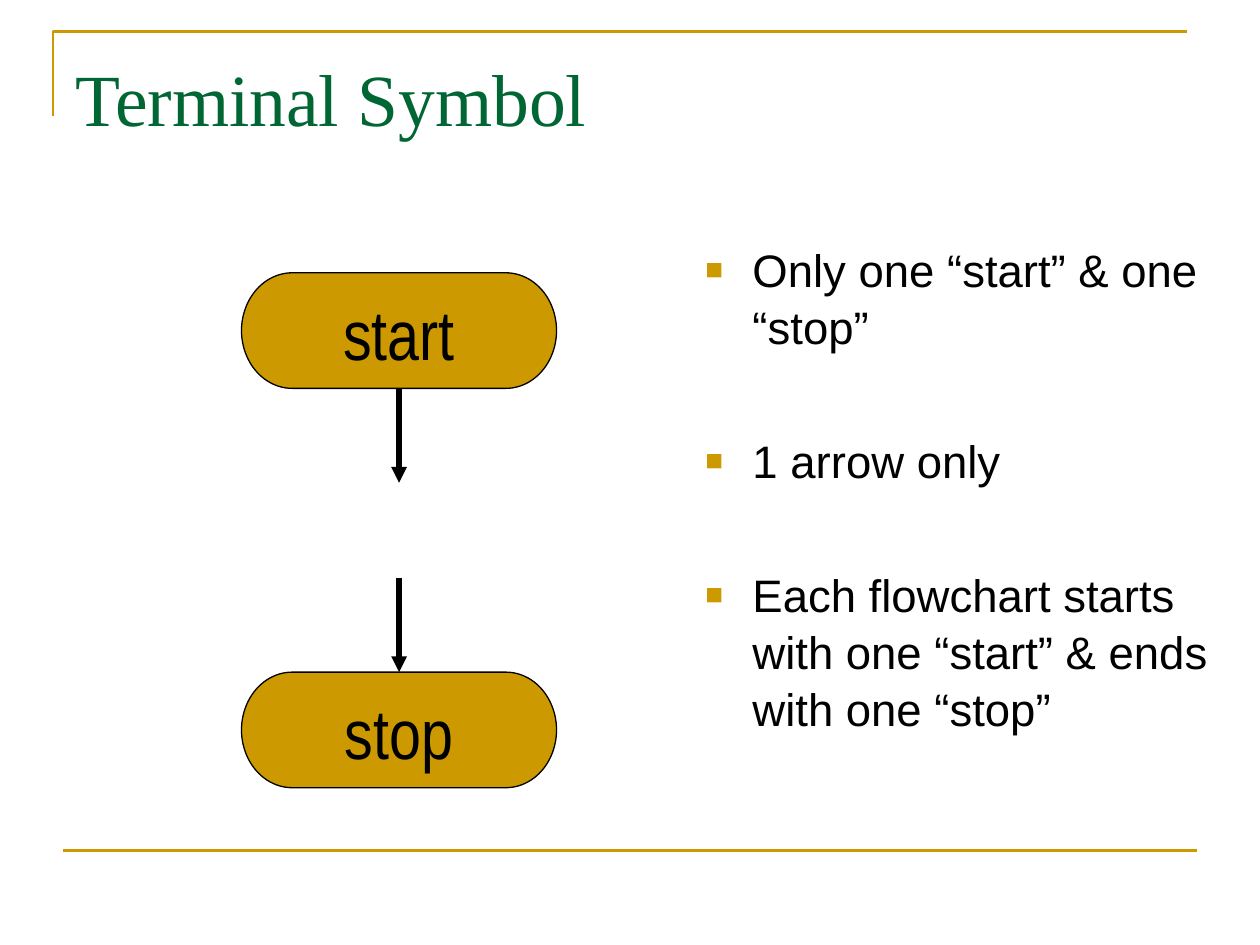
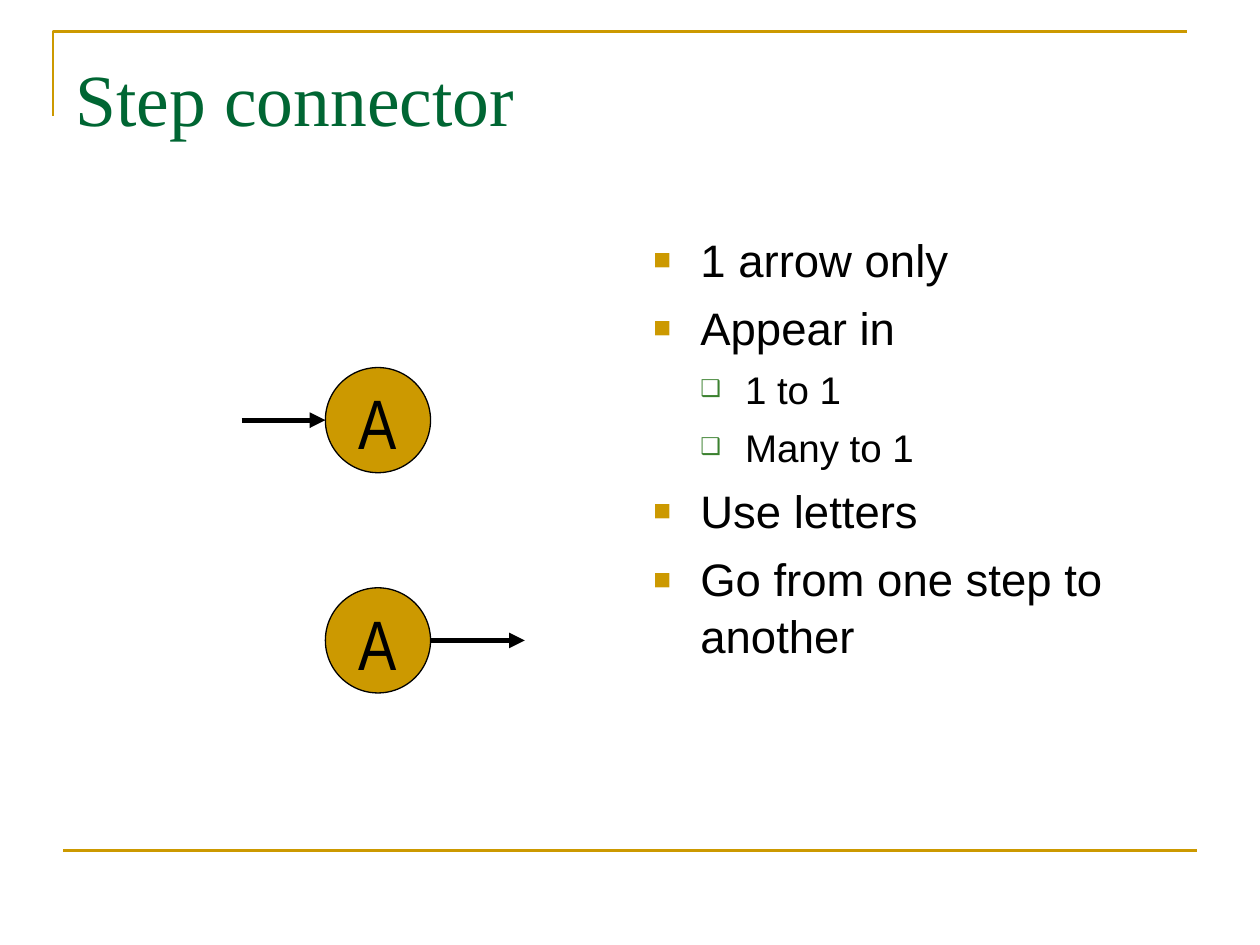
from dataclasses import dataclass

from lxml.etree import SubElement
from pptx import Presentation
from pptx.dml.color import RGBColor
from pptx.enum.shapes import MSO_CONNECTOR, MSO_SHAPE
from pptx.enum.text import MSO_ANCHOR, PP_ALIGN
from pptx.oxml.ns import qn
from pptx.util import Cm, Pt

# Shared look
GOLD, GREEN, LEAF, BLACK = "CC9900", "006633", "3B812F", "000000"
TITLE_FONT, BODY_FONT, SYMBOL_FONT = "Times New Roman", "Arial", "Arial Narrow"
LINE_SPACING = 1.04
TOP, BOTTOM = 0, 2


@dataclass(frozen=True)
class Box:
    left: float
    top: float
    width: float
    height: float

    def lengths(self) -> tuple:
        return Cm(self.left), Cm(self.top), Cm(self.width), Cm(self.height)


@dataclass(frozen=True)
class Symbol:
    label: str
    kind: MSO_SHAPE
    box: Box


@dataclass(frozen=True)
class BulletStyle:
    mark: str
    color: str
    scale: int  # percent of the text size
    margin: float
    hanging: float
    size: float
    gap: float


@dataclass(frozen=True)
class Point:
    text: str
    level: int = 0


BULLETS = (
    BulletStyle("■", GOLD, 65, 0.95, 0.95, 26, 6.5),
    BulletStyle("❑", LEAF, 60, 1.85, 0.9, 22, 5.5),
)


def rgb(color: str) -> RGBColor:
    return RGBColor.from_string(color)


def set_line(line, color: str, width: float) -> None:
    line.color.rgb = rgb(color)
    line.width = Pt(width)


def style_paragraph(paragraph, font: str, size: float, color: str) -> None:
    paragraph.line_spacing = LINE_SPACING
    for run in paragraph.runs:
        run.font.name = font
        run.font.size = Pt(size)
        run.font.color.rgb = rgb(color)


def add_line(slide, start: tuple, end: tuple, color: str, width: float, arrow: bool = False):
    ends = [Cm(value) for value in (*start, *end)]
    connector = slide.shapes.add_connector(MSO_CONNECTOR.STRAIGHT, *ends)
    set_line(connector.line, color, width)
    if arrow:
        SubElement(connector.line._get_or_add_ln(), qn("a:tailEnd"), type="triangle")
    SubElement(connector._element.spPr, qn("a:effectLst"))
    return connector


def add_arrow(slide, start: tuple, end: tuple):
    return add_line(slide, start, end, BLACK, 3, arrow=True)


def add_text_frame(slide, box: Box, top_margin: float):
    frame = slide.shapes.add_textbox(*box.lengths()).text_frame
    frame.word_wrap = True
    frame.margin_top = Cm(top_margin)
    return frame


def add_symbol(slide, symbol: Symbol):
    shape = slide.shapes.add_shape(symbol.kind, *symbol.box.lengths())
    shape.shadow.inherit = False
    shape.fill.solid()
    shape.fill.fore_color.rgb = rgb(GOLD)
    set_line(shape.line, BLACK, 0.75)
    frame = shape.text_frame
    frame.word_wrap = False
    frame.vertical_anchor = MSO_ANCHOR.MIDDLE
    frame.text = symbol.label
    label = frame.paragraphs[0]
    label.alignment = PP_ALIGN.CENTER
    style_paragraph(label, SYMBOL_FONT, 40, BLACK)
    return shape


def set_bullet(paragraph, style: BulletStyle) -> None:
    props = paragraph._p.get_or_add_pPr()
    props.set("marL", str(Cm(style.margin)))
    props.set("indent", str(-Cm(style.hanging)))
    SubElement(SubElement(props, qn("a:buClr")), qn("a:srgbClr"), val=style.color)
    SubElement(props, qn("a:buSzPct"), val=str(style.scale * 1000))
    SubElement(props, qn("a:buFont"), typeface=BODY_FONT)
    SubElement(props, qn("a:buChar"), char=style.mark)


def add_points(slide, box: Box, points: list[Point], extra_gap: float = 0) -> None:
    frame = add_text_frame(slide, box, 0.18)
    frame.text = "\n".join(point.text for point in points)
    for index, (paragraph, point) in enumerate(zip(frame.paragraphs, points)):
        style = BULLETS[point.level]
        paragraph.level = point.level
        paragraph.space_before = Pt(style.gap + extra_gap if index else 0)
        style_paragraph(paragraph, BODY_FONT, style.size, BLACK)
        set_bullet(paragraph, style)


def add_base_slide(deck, title: str):
    slide = deck.slides.add_slide(deck.slide_layouts[6])
    # Corner rule and footer rule
    builder = slide.shapes.build_freeform(Cm(1.07), Cm(2.33))
    builder.add_line_segments([(Cm(1.07), Cm(0.64)), (Cm(23.93), Cm(0.64))], close=False)
    corner = builder.convert_to_shape()
    corner.shadow.inherit = False
    corner.fill.background()
    set_line(corner.line, GOLD, 1.5)
    add_line(slide, (1.27, 17.15), (24.13, 17.15), GOLD, 1.5)
    # Title
    frame = add_text_frame(slide, Box(1.27, 0.76, 22.86, 3.18), 0.23)
    frame.text = title
    style_paragraph(frame.paragraphs[0], TITLE_FONT, 42, GREEN)
    return slide


def build_terminal_symbol(deck) -> None:
    slide = add_base_slide(deck, "Terminal Symbol")
    add_points(slide, Box(13.97, 4.66, 11.43, 11.43), [
        Point("Only one “start” & one “stop”"),
        Point("1 arrow only"),
        Point("Each flowchart starts with one “start” & ends with one “stop”"),
    ], extra_gap=37.7)
    # Terminators, each with its one arrow
    left, width, height, arrow_length = 4.87, 6.35, 2.33, 1.9
    start_top, stop_top = 5.5, 13.55
    center, start_bottom = left + width / 2, start_top + height
    start, stop = (
        add_symbol(slide, Symbol(label, MSO_SHAPE.FLOWCHART_TERMINATOR, Box(left, top, width, height)))
        for label, top in (("start", start_top), ("stop", stop_top))
    )
    into_stop = add_arrow(slide, (center, stop_top - arrow_length), (center, stop_top))
    into_stop.end_connect(stop, TOP)
    out_of_start = add_arrow(slide, (center, start_bottom), (center, start_bottom + arrow_length))
    out_of_start.begin_connect(start, BOTTOM)


def build_step_connector(deck) -> None:
    slide = add_base_slide(deck, "Step connector")
    add_points(slide, Box(12.92, 4.45, 11.2, 12.57), [
        Point("1 arrow only"),
        Point("Appear in"),
        Point("1 to 1", 1),
        Point("Many to 1", 1),
        Point("Use letters"),
        Point("Go from one step to another"),
    ])
    # Entry and exit connectors
    left, size = 6.56, 2.12
    entry_top, exit_top = 7.41, 11.85
    entry_middle, exit_middle = entry_top + size / 2, exit_top + size / 2
    add_arrow(slide, (4.87, entry_middle), (left, entry_middle))
    add_arrow(slide, (left + size, exit_middle), (10.58, exit_middle))
    for top in (entry_top, exit_top):
        add_symbol(slide, Symbol("A", MSO_SHAPE.FLOWCHART_CONNECTOR, Box(left, top, size, size)))


def main() -> None:
    deck = Presentation()
    deck.slide_width, deck.slide_height = Cm(25.4), Cm(19.05)
    build_terminal_symbol(deck)
    build_step_connector(deck)
    deck.save("out.pptx")


if __name__ == "__main__":
    main()
